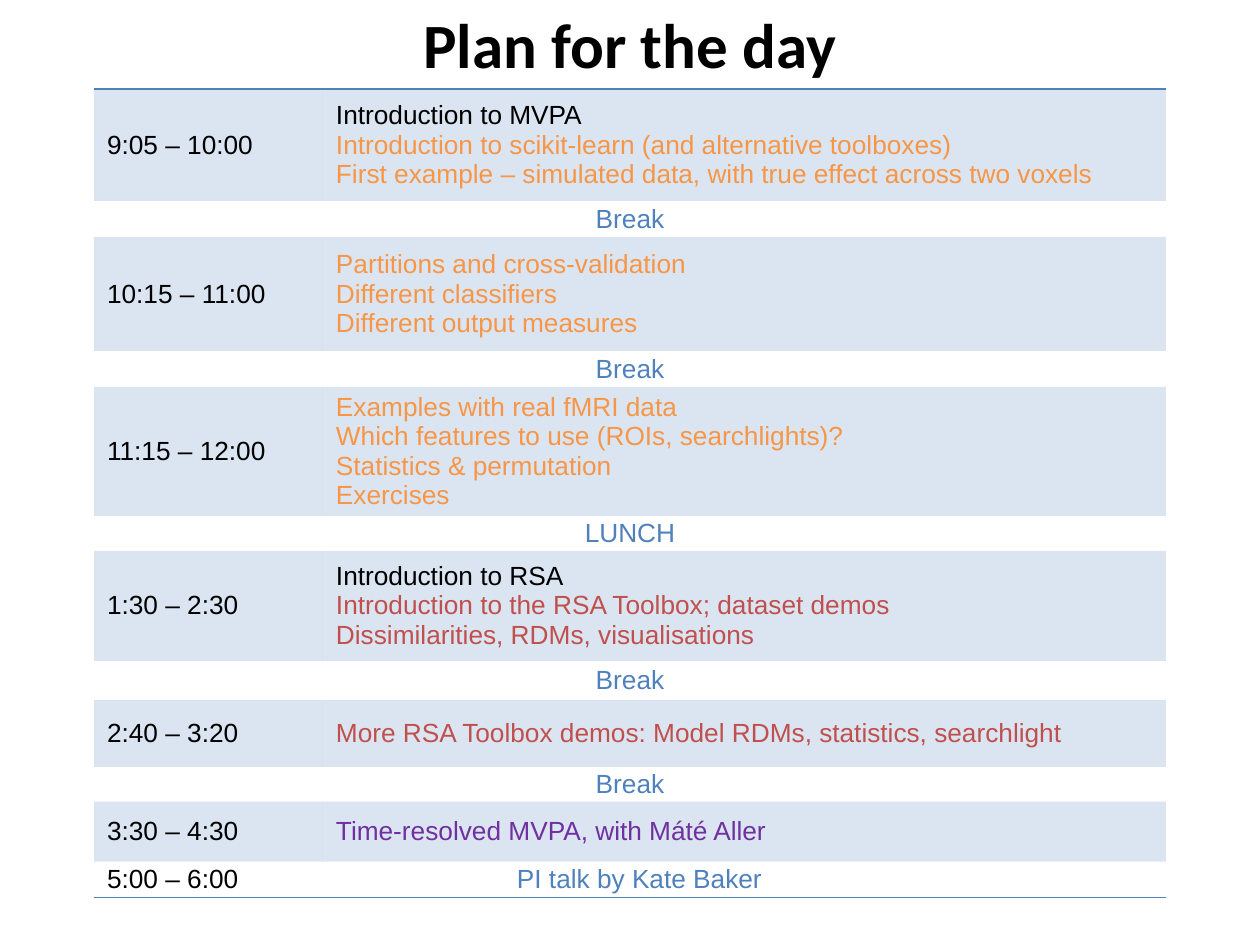
import pptx
import pptx.util
import pptx.dml.color
import pptx.enum.text
import pptx.oxml
import pptx.oxml.ns

BLACK, BLUE, ORANGE, RED, PURPLE = "000000", "4F81BD", "F79646", "C0504D", "7030A0"
TITLE = "Plan for the day"

# (row height in px, time, [(line, colour), ...]); a row without a time is a break
SCHEDULE = [
    (112, "9:05 – 10:00", [
        ("Introduction to MVPA", BLACK),
        ("Introduction to scikit-learn (and alternative toolboxes)", ORANGE),
        ("First example – simulated data, with true effect across two voxels", ORANGE)]),
    (36, None, [("Break", BLUE)]),
    (114, "10:15 – 11:00", [
        ("Partitions and cross-validation", ORANGE),
        ("Different classifiers", ORANGE),
        ("Different output measures", ORANGE)]),
    (36, None, [("Break", BLUE)]),
    (129, "11:15 – 12:00", [
        ("Examples with real fMRI data", ORANGE),
        ("Which features to use (ROIs, searchlights)?", ORANGE),
        ("Statistics & permutation", ORANGE),
        ("Exercises", ORANGE)]),
    (35, None, [("LUNCH", BLUE)]),
    (110, "1:30 – 2:30", [
        ("Introduction to RSA", BLACK),
        ("Introduction to the RSA Toolbox; dataset demos", RED),
        ("Dissimilarities, RDMs, visualisations", RED)]),
    (39, None, [("Break", BLUE)]),
    (67, "2:40 – 3:20", [
        ("More RSA Toolbox demos: Model RDMs, statistics, searchlight", RED)]),
    (35, None, [("Break", BLUE)]),
    (60, "3:30 – 4:30", [("Time-resolved MVPA, with Máté Aller", PURPLE)]),
    (36, "5:00 – 6:00", [("PI talk by Kate Baker", BLUE)]),
]
COLUMNS = (229, 843)
TABLE_LEFT, TABLE_TOP = 94, 89
CELL_MARGIN, TALK_MARGIN = 13, 194
NO_STYLE = "{2D5ABB26-0587-4C30-8999-92F81FD0307C}"


def px(n):
    return pptx.util.Emu(n * 914400 // 126)


def rgb(value):
    return pptx.dml.color.RGBColor.from_string(value)


def style(p, font, size, color, bold=False, centred=False):
    align = pptx.enum.text.PP_ALIGN
    p.alignment = align.CENTER if centred else align.LEFT
    for r in p.runs:
        r.font.name, r.font.size, r.font.bold = font, pptx.util.Pt(size), bold
        r.font.color.rgb = rgb(color)


def write_cell(cell, lines, centred=False, left=CELL_MARGIN):
    cell.margin_left, cell.margin_right = px(left), px(CELL_MARGIN)
    cell.margin_top = cell.margin_bottom = 0
    cell.vertical_anchor = pptx.enum.text.MSO_ANCHOR.MIDDLE
    tf = cell.text_frame
    tf.text = "\n".join(text for text, _ in lines)
    for p, (_, color) in zip(tf.paragraphs, lines):
        style(p, "Arial", 15, color, centred=centred)


def tint(cell):
    cell.fill.solid()
    cell.fill.fore_color.rgb = rgb(BLUE)
    color = cell._tc.tcPr.find(".//" + pptx.oxml.ns.qn("a:srgbClr"))
    pptx.oxml.ns.qn("a:alpha")
    color.append(pptx.oxml.parse_xml(
        f'<a:alpha {pptx.oxml.ns.nsdecls("a")} val="20000"/>'))


def rule(cell, side):
    cell._tc.get_or_add_tcPr().insert(0, pptx.oxml.parse_xml(
        f'<a:{side} {pptx.oxml.ns.nsdecls("a")} w="12700"><a:solidFill>'
        f'<a:srgbClr val="{BLUE}"/></a:solidFill></a:{side}>'))


prs = pptx.Presentation()
prs.slide_width, prs.slide_height = px(1260), px(945)
s = prs.slides.add_slide(prs.slide_layouts[5])

# Title
title = s.shapes.title
title.left, title.top, title.width, title.height = px(63), px(0), px(1134), px(86)
tf = title.text_frame
tf.text = TITLE
tf.vertical_anchor = pptx.enum.text.MSO_ANCHOR.MIDDLE
style(tf.paragraphs[0], "Calibri", 36, BLACK, bold=True, centred=True)

# Empty, unstyled table
heights = [row[0] for row in SCHEDULE]
frame = s.shapes.add_table(len(SCHEDULE), len(COLUMNS), px(TABLE_LEFT), px(TABLE_TOP),
                           px(sum(COLUMNS)), px(sum(heights)))
table = frame.table
table.first_row = table.horz_banding = False
table._tbl.tblPr.find(pptx.oxml.ns.qn("a:tableStyleId")).text = NO_STYLE
for column, width in zip(table.columns, COLUMNS):
    column.width = px(width)

# Sessions and breaks
last = len(SCHEDULE) - 1
for i, (height, time, lines) in enumerate(SCHEDULE):
    table.rows[i].height = px(height)
    first, second = table.cell(i, 0), table.cell(i, 1)
    if time is None:
        first.merge(second)
        write_cell(first, lines, centred=True)
    else:
        write_cell(first, [(time, BLACK)])
        write_cell(second, lines, left=TALK_MARGIN if i == last else CELL_MARGIN)
    for cell in (first, second):
        if time and i != last:
            tint(cell)
        else:
            cell.fill.background()
        if i in (0, last):
            rule(cell, "lnT" if i == 0 else "lnB")

prs.save("out.pptx")
